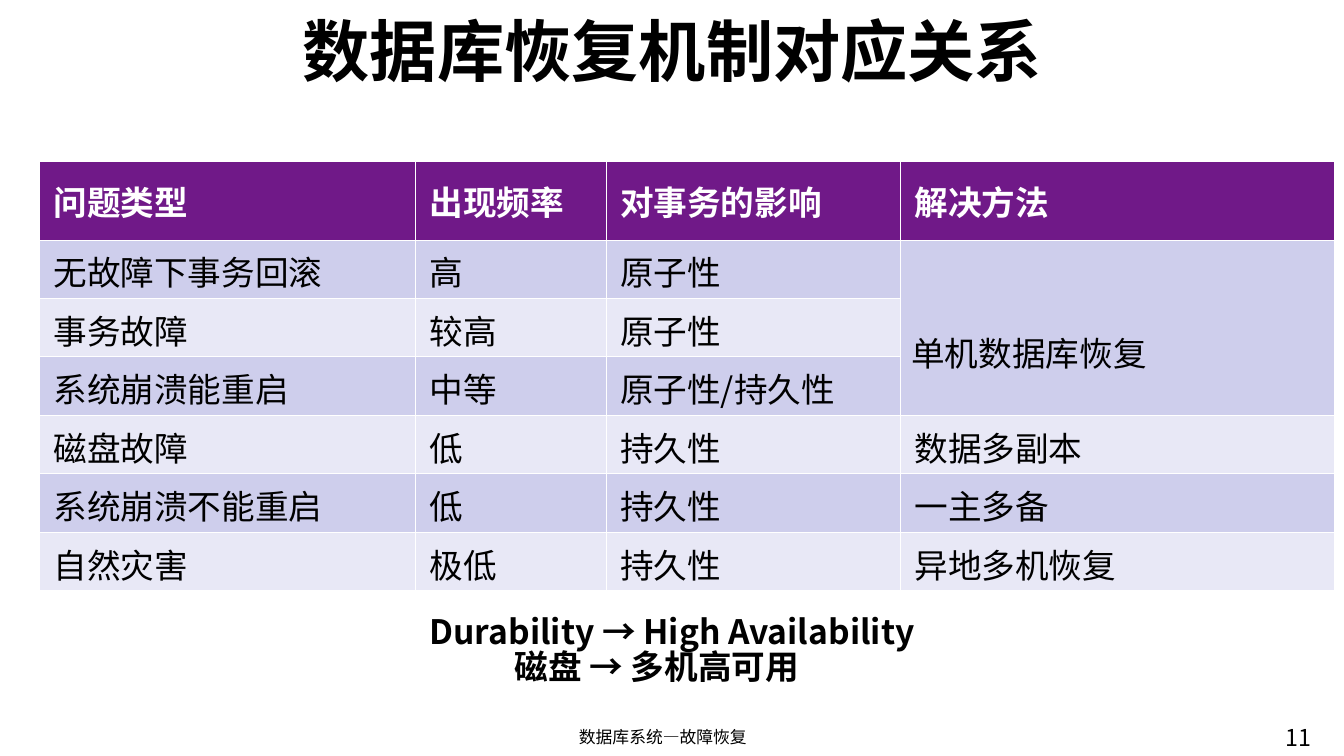
from lxml import etree
from pptx import Presentation
from pptx.dml.color import RGBColor
from pptx.enum.text import MSO_ANCHOR, PP_ALIGN
from pptx.oxml.ns import qn
from pptx.util import Inches, Pt

LEFT, CENTER = PP_ALIGN.LEFT, PP_ALIGN.CENTER
MIDDLE, TOP = MSO_ANCHOR.MIDDLE, MSO_ANCHOR.TOP

FONT = "Noto Sans CJK SC"
COLORS = {"text": "000000", "white": "FFFFFF", "header": "701988",
          "odd": "CECEEC", "even": "E8E8F6"}

TITLE = "数据库恢复机制对应关系"
ROWS = [
    ("问题类型", "出现频率", "对事务的影响", "解决方法"),
    ("无故障下事务回滚", "高", "原子性", "单机数据库恢复"),
    ("事务故障", "较高", "原子性", ""),
    ("系统崩溃能重启", "中等", "原子性/持久性", ""),
    ("磁盘故障", "低", "持久性", "数据多副本"),
    ("系统崩溃不能重启", "低", "持久性", "一主多备"),
    ("自然灾害", "极低", "持久性", "异地多机恢复"),
]
SUMMARY = ["Durability → High Availability", "磁盘 → 多机高可用"]
FOOTER = "数据库系统—故障恢复"
PAGE = "11"

COL_WIDTHS = (3.73, 1.89, 2.92, 4.3)
HEADER_H, ROW_H = 0.78, 0.58
CELL_MARGINS = (0.14, 0.07, 0.14, 0.07)
MERGED_MARGINS = (0.11, 0.54, 0.11, 0.06)
MERGED_ROWS, MERGED_COL = (1, 3), 3
SUMMARY_INDENT = 0.3


def style(p, size, color="text", bold=False, align=LEFT):
    p.alignment = align
    for r in p.runs:
        r.font.name, r.font.size, r.font.bold = FONT, Pt(size), bold
        r.font.color.rgb = RGBColor.from_string(COLORS[color])
        ea = etree.SubElement(r.font._element, qn("a:ea"))
        ea.set("typeface", FONT)


def add_text(s, box, lines, size, bold=False, align=LEFT, anchor=TOP):
    tf = s.shapes.add_textbox(*map(Inches, box)).text_frame
    tf.word_wrap, tf.vertical_anchor = True, anchor
    tf.text = "\n".join(lines)
    for p in tf.paragraphs:
        style(p, size, bold=bold, align=align)
    return tf


def set_borders(cell):
    tcPr = cell._tc.get_or_add_tcPr()
    for side in ("lnL", "lnR", "lnT", "lnB"):
        ln = etree.SubElement(tcPr, qn(f"a:{side}"), w=str(Pt(0.5)))
        fill = etree.SubElement(ln, qn("a:solidFill"))
        etree.SubElement(fill, qn("a:srgbClr"), val=COLORS["white"])


def set_margins(cell, margins):
    (cell.margin_left, cell.margin_top,
     cell.margin_right, cell.margin_bottom) = map(Inches, margins)


def add_recovery_table(s):
    height = HEADER_H + ROW_H * (len(ROWS) - 1)
    table = s.shapes.add_table(
        len(ROWS), len(COL_WIDTHS), Inches(0.39), Inches(1.6),
        Inches(sum(COL_WIDTHS)), Inches(height)).table
    for column, width in zip(table.columns, COL_WIDTHS):
        column.width = Inches(width)
    for i, texts in enumerate(ROWS):
        header = i == 0
        table.rows[i].height = Inches(HEADER_H if header else ROW_H)
        fill = "header" if header else "odd" if i % 2 else "even"
        for j, text in enumerate(texts):
            cell = table.cell(i, j)
            cell.text = text
            cell.vertical_anchor = MIDDLE
            set_margins(cell, CELL_MARGINS)
            set_borders(cell)
            cell.fill.solid()
            cell.fill.fore_color.rgb = RGBColor.from_string(COLORS[fill])
            style(cell.text_frame.paragraphs[0], 24,
                  "white" if header else "text", header)
    first, last = (table.cell(i, MERGED_COL) for i in MERGED_ROWS)
    first.merge(last)
    set_margins(first, MERGED_MARGINS)


def main():
    prs = Presentation()
    prs.slide_width, prs.slide_height = Inches(13.33), Inches(7.5)
    s = prs.slides.add_slide(prs.slide_layouts[6])

    add_text(s, (12.65, 7.13, 0.84, 0.52), [PAGE], 16.6)
    add_text(s, (1.15, 0.12, 11.04, 0.74), [TITLE], 48, True, CENTER, MIDDLE)
    add_text(s, (4.47, 7.16, 4.21, 0.34), [FOOTER], 12, align=CENTER)
    add_recovery_table(s)

    # The indented first line sits half an indent right of the second
    tf = add_text(s, (3.43 - SUMMARY_INDENT / 2, 6.07, 6.47, 0.91),
                  SUMMARY, 24, True, CENTER)
    for p in tf.paragraphs:
        p.line_spacing = 0.87
    tf.paragraphs[0]._p.get_or_add_pPr().set("marL", str(Inches(SUMMARY_INDENT)))

    prs.save("out.pptx")


if __name__ == "__main__":
    main()
